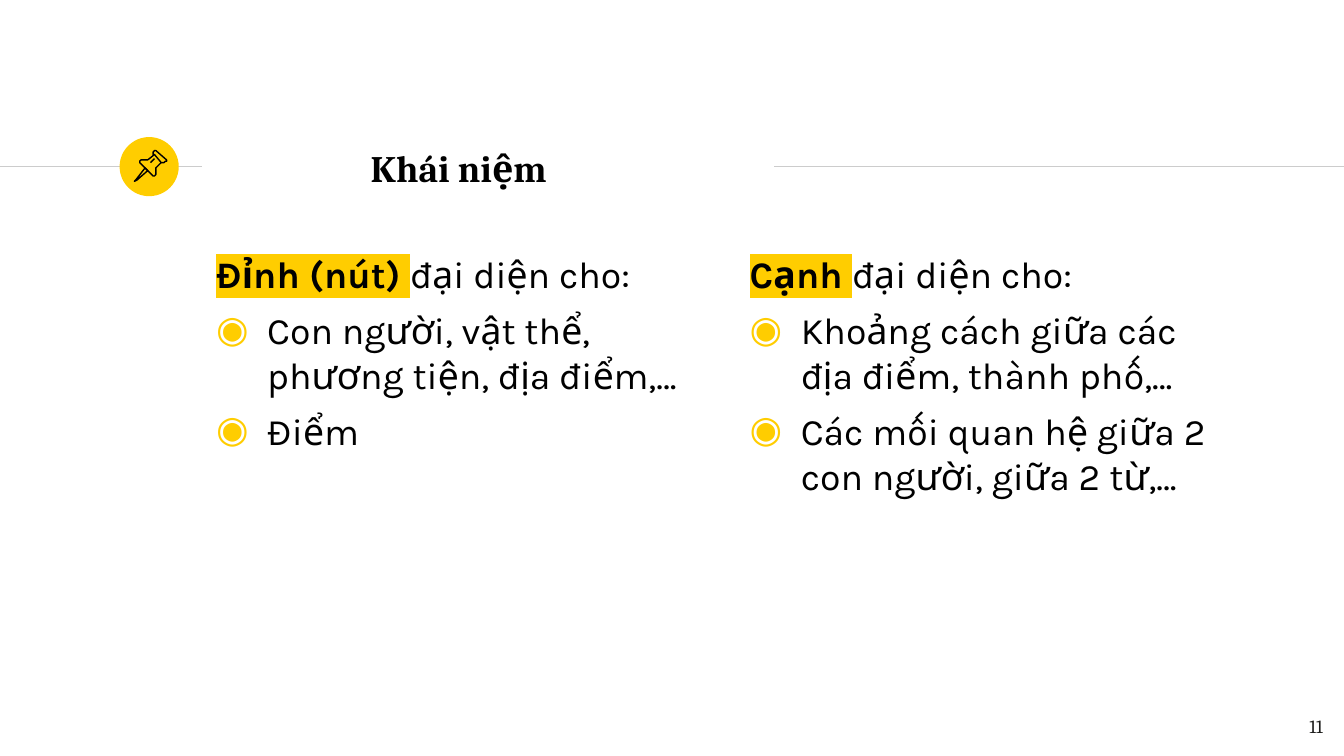
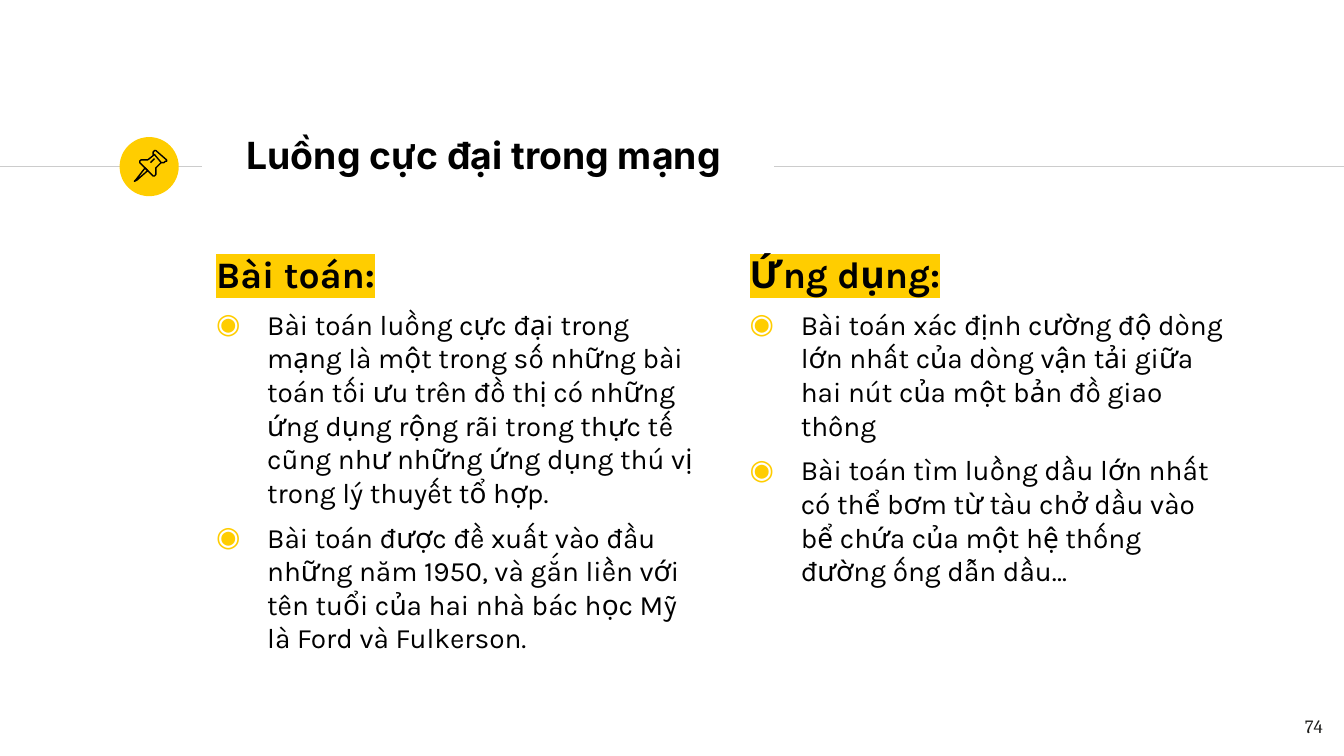
"""Build two slides on graph theory: basic concepts and maximum flow."""
import dataclasses

import lxml.etree
import pptx
import pptx.dml.color
import pptx.enum.shapes
import pptx.enum.text
import pptx.oxml.ns
import pptx.util

Inches = pptx.util.Inches
Pt = pptx.util.Pt
ALIGN = pptx.enum.text.PP_ALIGN
ANCHOR = pptx.enum.text.MSO_ANCHOR


@dataclasses.dataclass(frozen=True)
class Theme:
    accent: str = "FFCD00"
    rule: str = "CCCCCC"
    ink: str = "000000"
    footer_ink: str = "1D1D1B"
    serif: str = "Cambria"
    sans: str = "Inter"
    body: str = "Karla"
    heading_size: int = 20
    small_size: int = 15
    footer_size: int = 10
    line_width: float = 0.75
    inset: float = 0.1
    space_before: int = 6
    indent: float = 0.38
    bullet: str = "◉"


COLUMN_LEFTS = (1.51, 5.48)
COLUMN_TOP, COLUMN_WIDTH, COLUMN_HEIGHT = 1.77, 3.75, 3.53
TITLE_WIDTH, TITLE_HEIGHT = 4.18, 0.48
RULE_TOP = 1.24
RULE_SPANS = ((0, 1.5), (5.76, 10))
BADGE_LEFT, BADGE_TOP, BADGE_SIZE = 0.89, 1.02, 0.44

PIN_UNIT = Inches(0.01)
PIN_NEEDLE = ((108, 125), (101, 134), (100, 135), (102, 134), (110, 127))
PIN_CAP = ((115, 115), (120, 121), (122, 121), (123, 120), (124, 120),
           (124, 119), (116, 112), (115, 112), (114, 113), (114, 115))
PIN_BODY = ((115, 115), (110, 119), (108, 119), (105, 119), (104, 120),
            (104, 121), (114, 131), (115, 131), (116, 130), (116, 125),
            (120, 121))
PIN_SHINE = ((112, 121), (115, 118))
PIN_PARTS = ((PIN_NEEDLE, True), (PIN_CAP, True),
             (PIN_BODY, False), (PIN_SHINE, False))


def color(value):
    return pptx.dml.color.RGBColor.from_string(value)


def add_element(parent, tag, **attributes):
    return lxml.etree.SubElement(parent, pptx.oxml.ns.qn(tag), attributes)


class SlideWriter:
    """Hold the theme and the current slide, and draw each kind of element."""

    def __init__(self, deck, theme):
        self.deck = deck
        self.theme = theme
        self.page = None

    def new_page(self):
        self.page = self.deck.slides.add_slide(self.deck.slide_layouts[6])

    def style_line(self, line, value):
        line.color.rgb = color(value)
        line.width = Pt(self.theme.line_width)

    def style_font(self, font, name, size, value, bold=False):
        font.name = name
        font.size = Pt(size)
        font.color.rgb = color(value)
        font.bold = bold

    def rule(self, start, end):
        line = self.page.shapes.add_connector(
            pptx.enum.shapes.MSO_CONNECTOR.STRAIGHT,
            Inches(start), Inches(RULE_TOP), Inches(end), Inches(RULE_TOP))
        self.style_line(line.line, self.theme.rule)
        add_element(line._element.spPr, "a:effectLst")

    def badge(self):
        circle = self.page.shapes.add_shape(
            pptx.enum.shapes.MSO_SHAPE.OVAL, Inches(BADGE_LEFT),
            Inches(BADGE_TOP), Inches(BADGE_SIZE), Inches(BADGE_SIZE))
        circle.shadow.inherit = False
        circle.fill.solid()
        circle.fill.fore_color.rgb = color(self.theme.accent)
        circle.line.fill.background()

    def pin(self):
        group = self.page.shapes.add_group_shape()
        for points, closed in PIN_PARTS:
            builder = group.shapes.build_freeform(*points[0], scale=PIN_UNIT)
            builder.add_line_segments(points[1:], close=closed)
            outline = builder.convert_to_shape()
            outline.shadow.inherit = False
            outline.fill.background()
            self.style_line(outline.line, self.theme.ink)

    def text_frame(self, left, top, width, height, anchor=ANCHOR.TOP):
        box = self.page.shapes.add_textbox(
            Inches(left), Inches(top), Inches(width), Inches(height))
        frame = box.text_frame
        frame.word_wrap = True
        frame.vertical_anchor = anchor
        frame.margin_left = frame.margin_right = Inches(self.theme.inset)
        frame.margin_top = frame.margin_bottom = Inches(self.theme.inset)
        return frame

    def title(self, text, left, top, font_name, align):
        frame = self.text_frame(left, top, TITLE_WIDTH, TITLE_HEIGHT, ANCHOR.MIDDLE)
        para = frame.paragraphs[0]
        para.text = text
        para.alignment = align
        self.style_font(para.font, font_name, self.theme.heading_size,
                        self.theme.ink, bold=True)

    def heading(self, para, marked, rest):
        self.style_font(para.font, self.theme.body, self.theme.heading_size,
                        self.theme.ink, bold=None)
        span = para.add_run()
        span.text = marked
        span.font.bold = True
        highlight = add_element(span._r.get_or_add_rPr(), "a:highlight")
        add_element(highlight, "a:srgbClr", val=self.theme.accent)
        if rest:
            span = para.add_run()
            span.text = rest
            span.font.bold = False

    def bullet(self, para, text, size):
        para.text = text
        para.space_before = Pt(self.theme.space_before)
        properties = para._p.get_or_add_pPr()
        indent = Inches(self.theme.indent)
        properties.set("marL", str(indent))
        properties.set("indent", str(-indent))
        bullet_color = add_element(properties, "a:buClr")
        add_element(bullet_color, "a:srgbClr", val=self.theme.accent)
        add_element(properties, "a:buFont", typeface=self.theme.body)
        add_element(properties, "a:buChar", char=self.theme.bullet)
        self.style_font(para.font, self.theme.body, size, self.theme.ink)

    def column(self, left, marked, rest, items, size):
        frame = self.text_frame(left, COLUMN_TOP, COLUMN_WIDTH, COLUMN_HEIGHT)
        self.heading(frame.paragraphs[0], marked, rest)
        for item in items:
            self.bullet(frame.add_paragraph(), item, size)

    def page_number(self, number):
        frame = self.text_frame(9.34, 5.19, 0.6, 0.43, ANCHOR.MIDDLE)
        para = frame.paragraphs[0]
        para.text = str(number)
        para.alignment = ALIGN.RIGHT
        self.style_font(para.font, self.theme.serif, self.theme.footer_size,
                        self.theme.footer_ink)

    def two_columns(self, title, columns, size, number):
        self.new_page()
        for start, end in RULE_SPANS:
            self.rule(start, end)
        self.badge()
        self.pin()
        self.title(*title)
        for left, (marked, rest, items) in zip(COLUMN_LEFTS, columns):
            self.column(left, marked, rest, items, size)
        self.page_number(number)


CONCEPTS = (
    ("Đỉnh (nút) ", "đại diện cho:", (
        "Con người, vật thể, phương tiện, địa điểm,…",
        "Điểm")),
    ("Cạnh ", "đại diện cho:", (
        "Khoảng cách giữa các địa điểm, thành phố,…",
        "Các mối quan hệ giữa 2 con người, giữa 2 từ,…")),
)
MAXIMUM_FLOW = (
    ("Bài toán:", "", (
        "Bài toán luồng cực đại trong mạng là một trong số những bài toán "
        "tối ưu trên đồ thị có những ứng dụng rộng rãi trong thực tế cũng "
        "như những ứng dụng thú vị trong lý thuyết tổ hợp.",
        "Bài toán được đề xuất vào đầu những năm 1950, và gắn liền với tên "
        "tuổi của hai nhà bác học Mỹ là Ford và Fulkerson.")),
    ("Ứng dụng:", "", (
        "Bài toán xác định cường độ dòng lớn nhất của dòng vận tải giữa "
        "hai nút của một bản đồ giao thông",
        "Bài toán tìm luồng dầu lớn nhất có thể bơm từ tàu chở dầu vào bể "
        "chứa của một hệ thống đường ống dẫn dầu…")),
)


def main():
    deck = pptx.Presentation()
    deck.slide_width = Inches(10)
    deck.slide_height = Inches(10) * 9 // 16
    theme = Theme()
    writer = SlideWriter(deck, theme)
    writer.two_columns(("Khái niệm", 2.66, 1.01, theme.serif, ALIGN.LEFT),
                       CONCEPTS, theme.heading_size, 11)
    writer.two_columns(("Luồng cực đại trong mạng", 1.51, 0.91, theme.sans, ALIGN.CENTER),
                       MAXIMUM_FLOW, theme.small_size, 74)
    deck.save("out.pptx")


if __name__ == "__main__":
    main()
